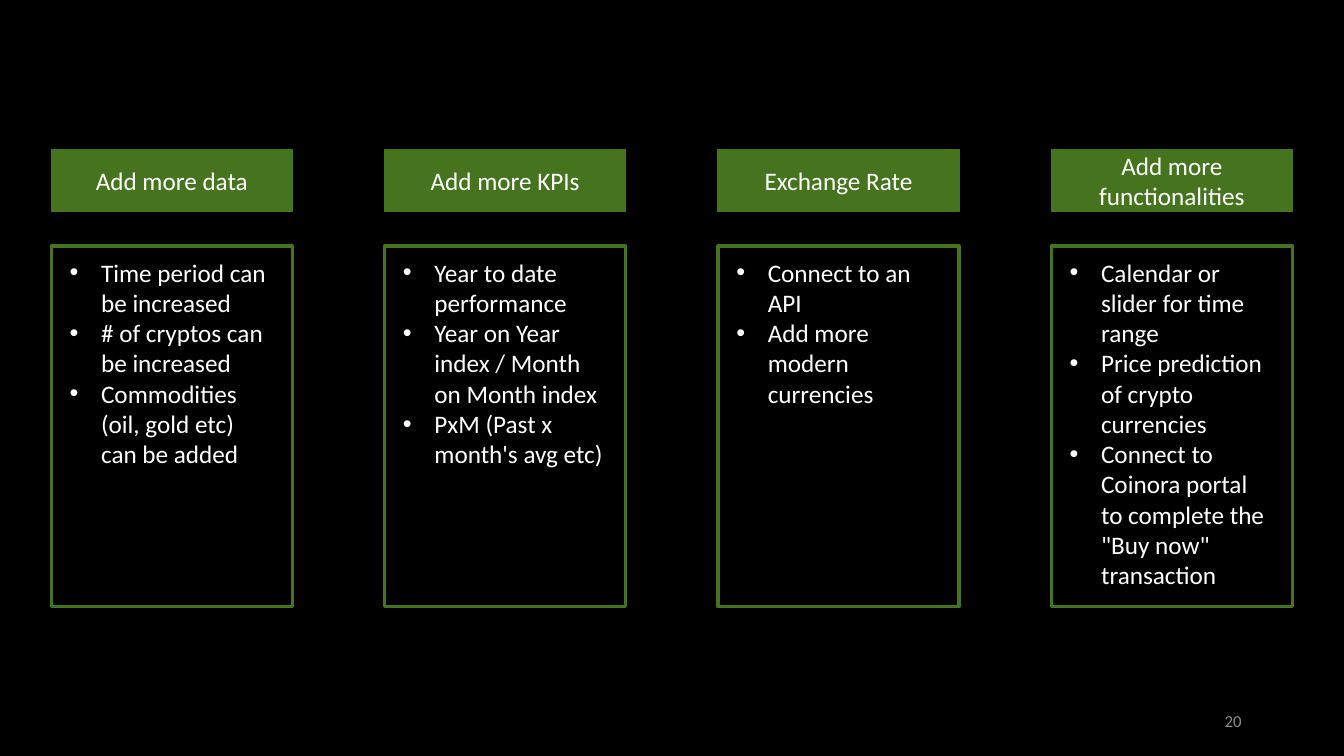
from lxml.etree import SubElement
from pptx import Presentation
from pptx.dml.color import RGBColor
from pptx.enum.shapes import MSO_SHAPE
from pptx.enum.text import MSO_ANCHOR, MSO_AUTO_SIZE, PP_ALIGN
from pptx.oxml.ns import qn
from pptx.util import Pt

GREEN = "46741E"
LEFT, PITCH, WIDTH = 36.7, 238.1, 172.1
HEADER_TOP, HEADER_HEIGHT = 106.6, 44.6
FRAME_TOP, FRAME_HEIGHT = 175.7, 257.8
INDENT = 22.5


def paint(color, value):
    color.rgb = RGBColor.from_string(value)


def write(frame, lines, size=18, color="FFFFFF", align=PP_ALIGN.LEFT,
          anchor=MSO_ANCHOR.MIDDLE, bullet=None):
    frame.word_wrap = True
    frame.vertical_anchor = anchor
    for index, line in enumerate(lines):
        para = frame.add_paragraph() if index else frame.paragraphs[0]
        para.alignment = align
        para.space_before = Pt(0)
        if bullet:
            properties = para._p.get_or_add_pPr()
            properties.set("marL", str(Pt(INDENT)))
            properties.set("indent", str(-Pt(INDENT)))
            SubElement(properties, qn("a:buFont")).set("typeface", "Arial")
            SubElement(properties, qn("a:buChar")).set("char", bullet)
        span = para.add_run()
        span.text = line
        span.font.name = "Calibri"
        span.font.size = Pt(size)
        span.font.bold = False
        paint(span.font.color, color)


columns = [
    ("Add more data", 144.7, [
        "Time period can be increased",
        "# of cryptos can be increased",
        "Commodities (oil, gold etc) can be added",
    ]),
    ("Add more KPIs", 144.7, [
        "Year to date performance",
        "Year on Year index / Month on Month index",
        "PxM (Past x month's avg etc)",
    ]),
    ("Exchange Rate", 110.2, [
        "Connect to an API",
        "Add more modern currencies",
    ]),
    ("Add more functionalities", 196.6, [
        "Calendar or slider for time range",
        "Price prediction of crypto currencies",
        'Connect to Coinora portal to complete the "Buy now" transaction',
    ]),
]

deck = Presentation()
deck.slide_width, deck.slide_height = Pt(960), Pt(540)
page = deck.slides.add_slide(deck.slide_layouts.get_by_name("Comparison"))
page.background.fill.solid()
paint(page.background.fill.fore_color, "000000")

title = page.shapes.title.element
title.getparent().remove(title)

for column, (heading, list_height, items) in enumerate(columns):
    left = LEFT + column * PITCH

    header = page.shapes.add_shape(MSO_SHAPE.RECTANGLE, Pt(left), Pt(HEADER_TOP),
                                   Pt(WIDTH), Pt(HEADER_HEIGHT))
    header.shadow.inherit = False
    header.fill.solid()
    paint(header.fill.fore_color, GREEN)
    paint(header.line.color, GREEN)
    header.line.width = Pt(1)
    write(header.text_frame, [heading], align=PP_ALIGN.CENTER)

    border = page.shapes.add_shape(MSO_SHAPE.RECTANGLE, Pt(left), Pt(FRAME_TOP),
                                   Pt(WIDTH), Pt(FRAME_HEIGHT))
    border.shadow.inherit = False
    border.fill.background()
    paint(border.line.color, GREEN)
    border.line.width = Pt(2.25)

    body = page.placeholders[column + 1]
    body.left, body.top = Pt(left + 5.8), Pt(180)
    body.width, body.height = Pt(157.7), Pt(list_height)
    body.text_frame.auto_size = MSO_AUTO_SIZE.SHAPE_TO_FIT_TEXT
    write(body.text_frame, items, anchor=MSO_ANCHOR.TOP, bullet="•")

number = page.shapes.add_textbox(Pt(678), Pt(500.5), Pt(216), Pt(28.8))
write(number.text_frame, ["20"], size=12, color="8C8C8C", align=PP_ALIGN.RIGHT)

deck.save("out.pptx")
